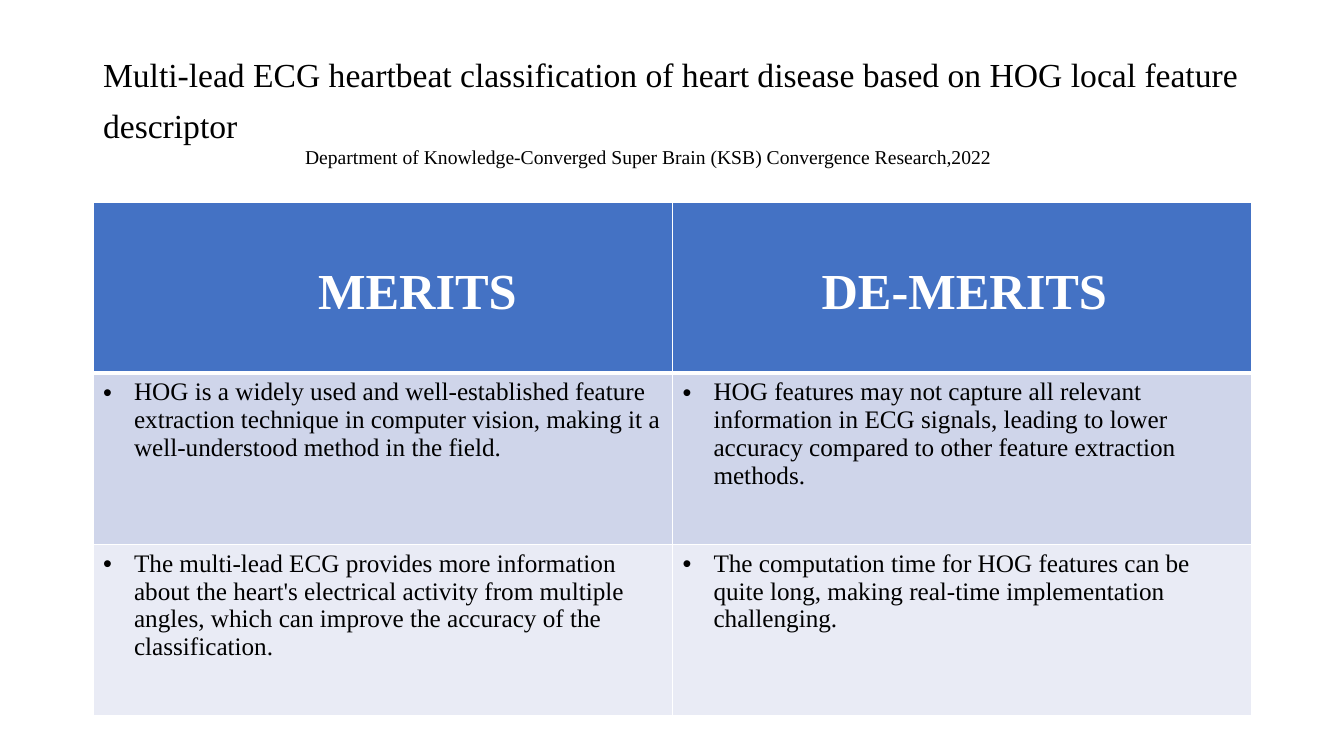
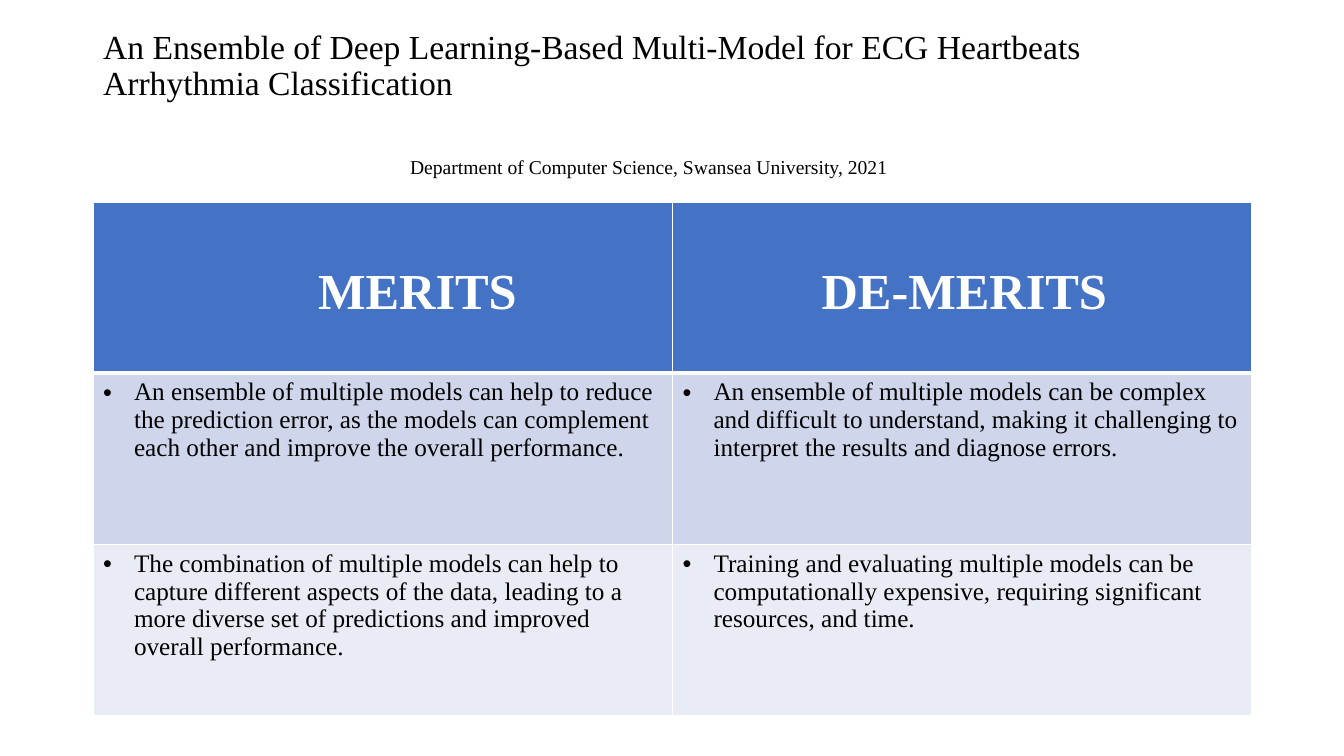
from lxml.etree import SubElement
from pptx import Presentation
from pptx.dml.color import RGBColor
from pptx.enum.text import MSO_ANCHOR, MSO_AUTO_SIZE, PP_ALIGN
from pptx.oxml.ns import qn
from pptx.util import Emu, Pt

WHITE = RGBColor(0xFF, 0xFF, 0xFF)
BLACK = RGBColor(0x00, 0x00, 0x00)
HEADER_BLUE = RGBColor(0x44, 0x72, 0xC4)
ROW_FILLS = [RGBColor(0xCF, 0xD5, 0xEA), RGBColor(0xE9, 0xEB, 0xF5)]
FONT = "Times New Roman"

CONTENT_LEFT, CONTENT_WIDTH = 93, 1159
TITLE_BOTTOM = 186
TABLE_BOX = (CONTENT_LEFT, 202, CONTENT_WIDTH, 514)
HEADINGS = [("MERITS", 215), ("DE-MERITS", 139)]
HEADING_TOP = 63
BULLET_INDENT = 31

PAPERS = [
    {
        "title": "Multi-lead ECG heartbeat classification of heart disease "
                 "based on HOG local feature descriptor",
        "title_top": 40, "line_pitch": 51,
        "source": "Department of Knowledge-Converged Super Brain (KSB) "
                  "Convergence Research,2022",
        "source_indent": 202, "source_gap": 0,
        "points": [
            ("HOG is a widely used and well-established feature extraction "
             "technique in computer vision, making it a well-understood "
             "method in the field.",
             "HOG features may not capture all relevant information in ECG "
             "signals, leading to lower accuracy compared to other feature "
             "extraction methods."),
            ("The multi-lead ECG provides more information about the heart's "
             "electrical activity from multiple angles, which can improve "
             "the accuracy of the classification.",
             "The computation time for HOG features can be quite long, "
             "making real-time implementation challenging."),
        ],
    },
    {
        "title": "An Ensemble of Deep Learning-Based Multi-Model for ECG "
                 "Heartbeats Arrhythmia Classification",
        "title_top": 27, "line_pitch": 36,
        "source": "Department of Computer Science, Swansea University, 2021",
        "source_indent": 307, "source_gap": 53,
        "points": [
            ("An ensemble of multiple models can help to reduce the "
             "prediction error, as the models can complement each other and "
             "improve the overall performance.",
             "An ensemble of multiple models can be complex and difficult to "
             "understand, making it challenging to interpret the results and "
             "diagnose errors."),
            ("The combination of multiple models can help to capture "
             "different aspects of the data, leading to a more diverse set "
             "of predictions and improved overall performance.",
             "Training and evaluating multiple models can be computationally "
             "expensive, requiring significant resources, and time."),
        ],
    },
]


def px(length):
    return Emu(round(length * 914400 / 100.8))


def style_paragraph(paragraph, text, size, color=BLACK, bold=False, indent=0, hanging=0):
    paragraph.text = text
    paragraph.alignment = PP_ALIGN.LEFT
    font = paragraph.font
    font.name, font.size, font.bold = FONT, Pt(size), bold
    font.color.rgb = color
    properties = paragraph._p.get_or_add_pPr()
    properties.set("marL", str(px(indent)))
    properties.set("indent", str(-px(hanging)))
    return properties


def add_bullet(properties):
    bullet_font = properties.makeelement(qn("a:buFont"), {"typeface": "Arial"})
    bullet = properties.makeelement(qn("a:buChar"), {"char": "•"})
    defaults = properties.find(qn("a:defRPr"))
    defaults.addprevious(bullet_font)
    defaults.addprevious(bullet)


def paint_cell(cell, fill, top_width=1, bottom_width=1):
    properties = cell._tc.get_or_add_tcPr()
    for side, width in zip("LRTB", (1, 1, top_width, bottom_width)):
        border = SubElement(properties, qn(f"a:ln{side}"), w=str(Pt(width)))
        paint = SubElement(border, qn("a:solidFill"))
        SubElement(paint, qn("a:srgbClr"), val=str(WHITE))
    cell.fill.solid()
    cell.fill.fore_color.rgb = fill


def fill_title(slide, paper, box):
    title = slide.shapes.title
    title.left, title.top, title.width, title.height = map(px, box)
    frame = title.text_frame
    frame.word_wrap = True
    frame.auto_size = MSO_AUTO_SIZE.NONE
    frame.vertical_anchor = MSO_ANCHOR.TOP
    frame.margin_top = px(3)
    heading = frame.paragraphs[0]
    style_paragraph(heading, paper["title"], 24)
    heading.line_spacing = px(paper["line_pitch"])
    source = frame.add_paragraph()
    style_paragraph(source, paper["source"], 14, indent=paper["source_indent"])
    source.space_before = px(paper["source_gap"])


def add_comparison(slide, points, box):
    row_count = len(points) + 1
    table = slide.shapes.add_table(row_count, len(HEADINGS), *map(px, box)).table
    table.horz_banding = False
    for column in table.columns:
        column.width = px(box[2] / len(HEADINGS))
    for row in table.rows:
        row.height = px(box[3] / row_count)
    for column, (heading, indent) in enumerate(HEADINGS):
        cell = table.cell(0, column)
        paint_cell(cell, HEADER_BLUE, bottom_width=3)
        cell.margin_top = px(HEADING_TOP)
        style_paragraph(cell.text_frame.paragraphs[0], heading, 36, WHITE, True, indent)
    for row, (pair, fill) in enumerate(zip(points, ROW_FILLS), start=1):
        for column, point in enumerate(pair):
            cell = table.cell(row, column)
            paint_cell(cell, fill, top_width=3 if row == 1 else 1)
            properties = style_paragraph(
                cell.text_frame.paragraphs[0], point, 18,
                indent=BULLET_INDENT, hanging=BULLET_INDENT)
            add_bullet(properties)


def add_paper_slide(deck, paper):
    slide = deck.slides.add_slide(deck.slide_layouts[5])
    top = paper["title_top"]
    fill_title(slide, paper, (CONTENT_LEFT, top, CONTENT_WIDTH, TITLE_BOTTOM - top))
    add_comparison(slide, paper["points"], TABLE_BOX)


deck = Presentation()
deck.slide_width, deck.slide_height = px(1344), px(756)
for paper in PAPERS:
    add_paper_slide(deck, paper)
deck.save("out.pptx")
